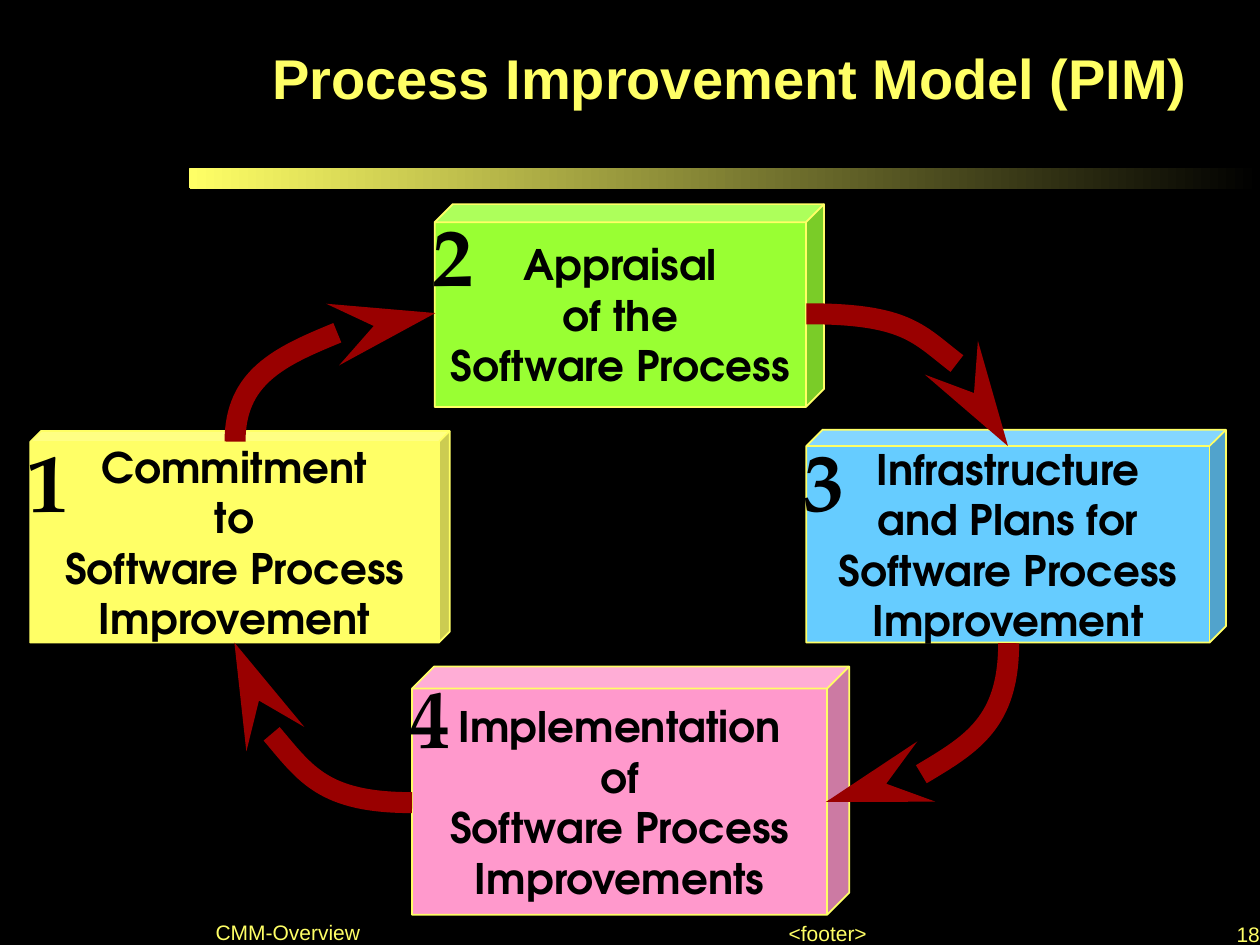
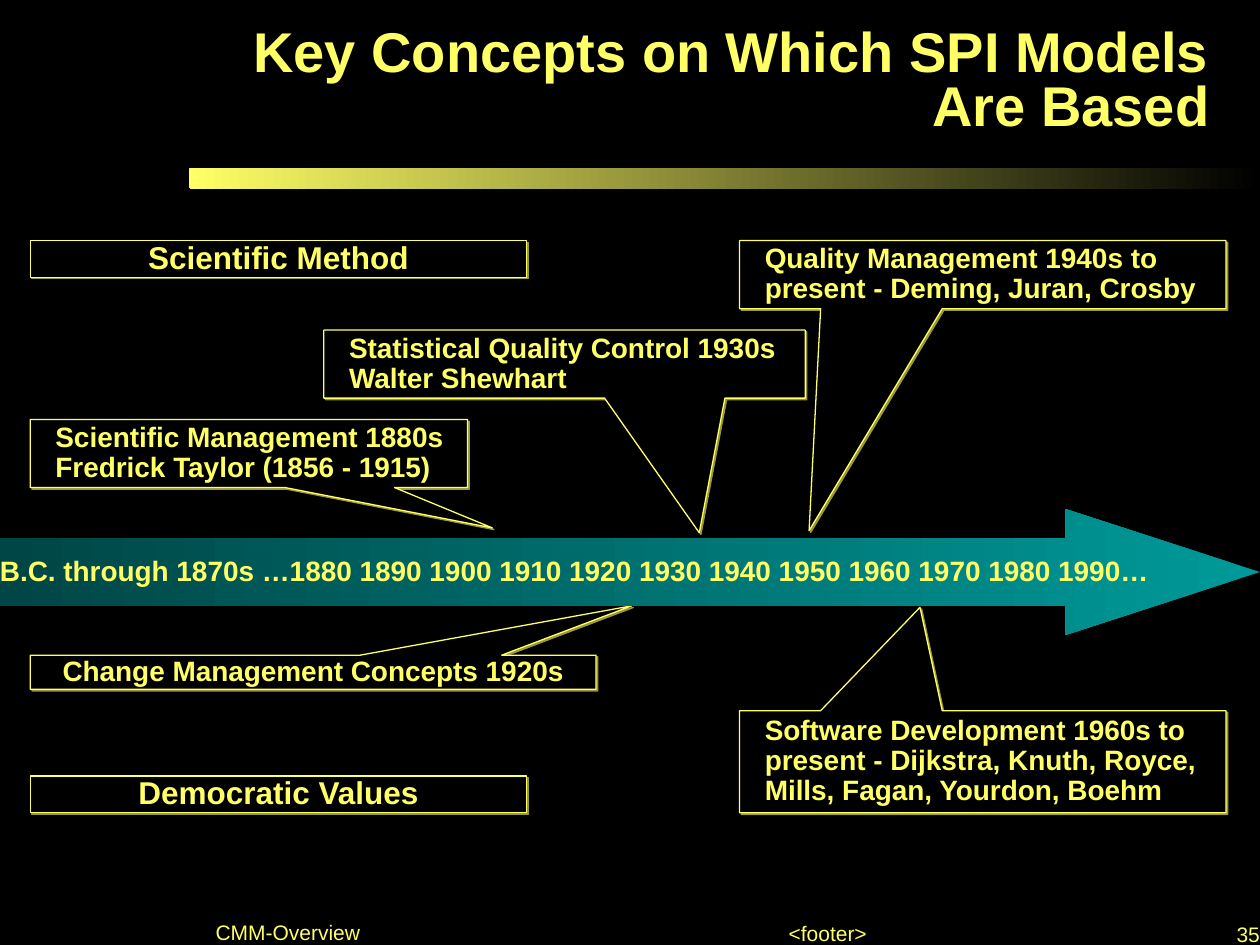
from lxml import etree
from pptx import Presentation
from pptx.dml.color import RGBColor
from pptx.enum import shapes as sh, text as tx
from pptx.oxml.ns import qn
from pptx.util import Inches, Pt

BLACK = RGBColor(0x00, 0x00, 0x00)
YELLOW = RGBColor(0xFF, 0xFF, 0x66)
GREEN = RGBColor(0x99, 0xFF, 0x33)
BLUE = RGBColor(0x66, 0xCC, 0xFF)
PINK = RGBColor(0xFF, 0x99, 0xCC)
RED = RGBColor(0x99, 0x00, 0x00)
TEAL = RGBColor(0x00, 0x99, 0x99)
DEEP = RGBColor(0x00, 0x46, 0x46)
OLIVE = RGBColor(0x98, 0x98, 0x3C)
LEFT, MID, RIGHT = tx.PP_ALIGN.LEFT, tx.PP_ALIGN.CENTER, tx.PP_ALIGN.RIGHT


def write(shape, words, size, align=LEFT, color=YELLOW, font="Arial", bold=True,
          space=1.0, anchor=tx.MSO_ANCHOR.MIDDLE, wrap=True, pad=(0, 0, 0, 0)):
    frame = shape.text_frame
    frame.text = words
    frame.auto_size = tx.MSO_AUTO_SIZE.NONE
    frame.word_wrap = wrap
    frame.vertical_anchor = anchor
    frame.margin_left, frame.margin_top, frame.margin_right, frame.margin_bottom = map(Inches, pad)
    for para in frame.paragraphs:
        para.alignment = align
        para.line_spacing = space
        for run in para.runs:
            run.font.name, run.font.size, run.font.bold = font, Pt(size), bold
            run.font.color.rgb = color


def draw(slide, kind, box, fills, line=None, adjust=()):
    shape = slide.shapes.add_shape(kind, *map(Inches, box))
    shape.shadow.inherit = False
    if len(fills) == 2:
        shape.fill.gradient()
        shape.fill.gradient_angle = 180
        for stop, color in zip(shape.fill.gradient_stops, fills):
            stop.color.rgb = color
    else:
        shape.fill.solid()
        shape.fill.fore_color.rgb = fills[0]
    if line:
        shape.line.color.rgb = YELLOW
        shape.line.width = Pt(line)
    else:
        shape.line.fill.background()
    for i, value in enumerate(adjust):
        shape.adjustments[i] = value
    return shape


deck = Presentation()
deck.slide_width, deck.slide_height = Inches(10), Inches(7.5)
back = deck.slide_master.background.fill
back.solid()
back.fore_color.rgb = BLACK
layout = deck.slide_layouts[5]
model, history = [deck.slides.add_slide(layout) for _ in range(2)]

bar = draw(model, sh.MSO_SHAPE.ROUNDED_RECTANGLE, (1.5, 1.33, 8.5, 0.17), [BLACK, YELLOW])
foot = model.shapes.add_textbox(*map(Inches, (6.26, 7.31, 0.62, 0.2)))
write(foot, "<footer>", 12, MID, bold=False, anchor=tx.MSO_ANCHOR.BOTTOM, wrap=False)
for shared in (bar, foot):
    layout.shapes.element.append(shared.element)

pages = [
    (model, "Process Improvement Model (PIM)", (1.62, 0, 8.38, 1.33), 0.57, "18"),
    (history, "Key Concepts on Which SPI Models Are Based", (1.69, 0.06, 8.25, 1.2), 0.34, "35"),
]
for slide, words, box, inset, page in pages:
    title = slide.shapes.title
    title.left, title.top, title.width, title.height = map(Inches, box)
    write(title, words, 32, RIGHT, space=0.8, pad=(0, 0, inset, 0))
    for label, place, align in (("CMM-Overview", (1.24, 7.18, 2.09, 0.32), MID),
                                (page, (9.8, 7.35, 0.2, 0.16), RIGHT)):
        note = slide.shapes.add_textbox(*map(Inches, place))
        write(note, label, 12, align, bold=False, space=0.8, anchor=tx.MSO_ANCHOR.BOTTOM)

steps = [
    ("Commitment\nto\nSoftware Process\nImprovement", (0.24, 3.42, 3.33, 1.68), 0.052, YELLOW),
    ("Appraisal\nof the\nSoftware Process", (3.45, 1.62, 3.09, 1.61), 0.089, GREEN),
    ("Infrastructure\nand Plans for\nSoftware Process\nImprovement", (6.4, 3.41, 3.33, 1.69), 0.077, BLUE),
    ("Implementation\nof\nSoftware Process\nImprovements", (3.27, 5.29, 3.47, 1.97), 0.089, PINK),
]
for count, (words, box, depth, color) in enumerate(steps, 1):
    cube = draw(model, sh.MSO_SHAPE.CUBE, box, [color], 1, [depth])
    write(cube, words, 24, MID, BLACK, "TeX Gyre Adventor", wrap=False, pad=(0.1, 0.05, 0.1, 0.05))
    digit = model.shapes.add_textbox(Inches(box[0] - 0.02), Inches(box[1]), Inches(0.37), Inches(0.78))
    write(digit, str(count), 47, color=BLACK, font="TeX Gyre Pagella", wrap=False)

bends = [
    ((3.17, 3.79, 2.15, 2.2), 90),
    ((6.4, 2.49, 8.0, 3.54), 0),
    ((6.65, 5.01, 7.91, 6.46), 90),
    ((1.86, 5.1, 3.27, 6.37), 180),
]
for ends, turn in bends:
    bend = model.shapes.add_connector(sh.MSO_CONNECTOR.CURVE, *map(Inches, ends))
    bend.line.color.rgb = RED
    bend.line.width = Pt(12)
    props = bend.element.spPr
    props.find(qn("a:xfrm")).set("rot", str(turn * 60000))
    props.find(qn("a:prstGeom")).set("prst", "curvedConnector2")
    etree.SubElement(props.find(qn("a:ln")), qn("a:tailEnd"), type="stealth", w="med", len="lg")
    etree.SubElement(props, qn("a:effectLst"))

RECT, CALL = sh.MSO_SHAPE.RECTANGLE, sh.MSO_SHAPE.RECTANGULAR_CALLOUT
ideas = [
    (RECT, "Scientific Method", (0.24, 1.91, 3.94, 0.29), (), 18),
    (RECT, "Democratic Values", (0.24, 6.16, 3.94, 0.29), (), 18),
    (CALL, "Scientific Management 1880s\nFredrick Taylor (1856 - 1915)",
     (0.24, 3.33, 3.47, 0.54), (0.557, 1.093), 16),
    (CALL, "Change Management Concepts 1920s", (0.24, 5.2, 4.49, 0.27), (0.563, -1.949), 16),
    (CALL, "Statistical Quality Control 1930s\nWalter Shewhart",
     (2.57, 2.62, 3.82, 0.54), (0.28, 2.478), 16),
    (CALL, "Quality Management 1940s to\npresent - Deming, Juran, Crosby",
     (5.87, 1.91, 3.86, 0.54), (-0.357, 3.763), 16),
    (CALL, "Software Development 1960s to\npresent - Dijkstra, Knuth, Royce,\nMills, Fagan, Yourdon, Boehm",
     (5.87, 5.64, 3.86, 0.81), (-0.129, -1.513), 16),
]
for kind, words, box, tip, size in ideas:
    card = draw(history, kind, box, [BLACK], 0.75, tip)
    effect = card.element.spPr.find(qn("a:effectLst"))
    shade = etree.SubElement(effect, qn("a:outerShdw"), dist=str(Pt(1.4)), dir="2700000")
    etree.SubElement(shade, qn("a:srgbClr"), val=str(OLIVE))
    if "\n" in words:
        write(card, words, size, space=0.9, pad=(0.2, 0, 0, 0))
    else:
        write(card, words, size, MID, space=0.9)

arrow = draw(history, sh.MSO_SHAPE.RIGHT_ARROW, (0, 4.04, 10, 1), [TEAL, DEEP], adjust=(0.538, 1.544))
write(arrow, "B.C. through 1870s …1880 1890 1900 1910 1920 1930 1940 1950 1960 1970 1980 1990…",
      16, space=0.9)

deck.save("out.pptx")
